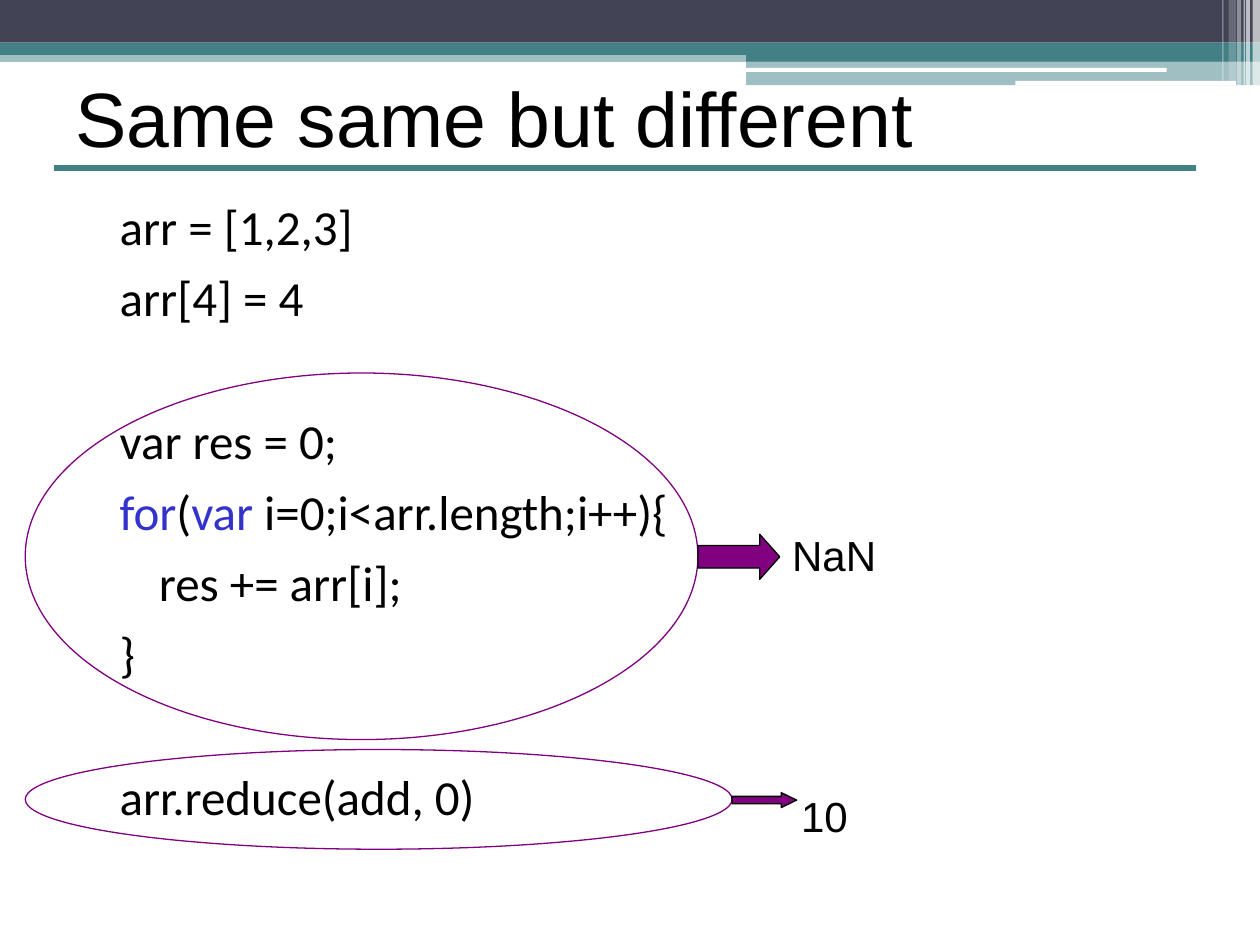
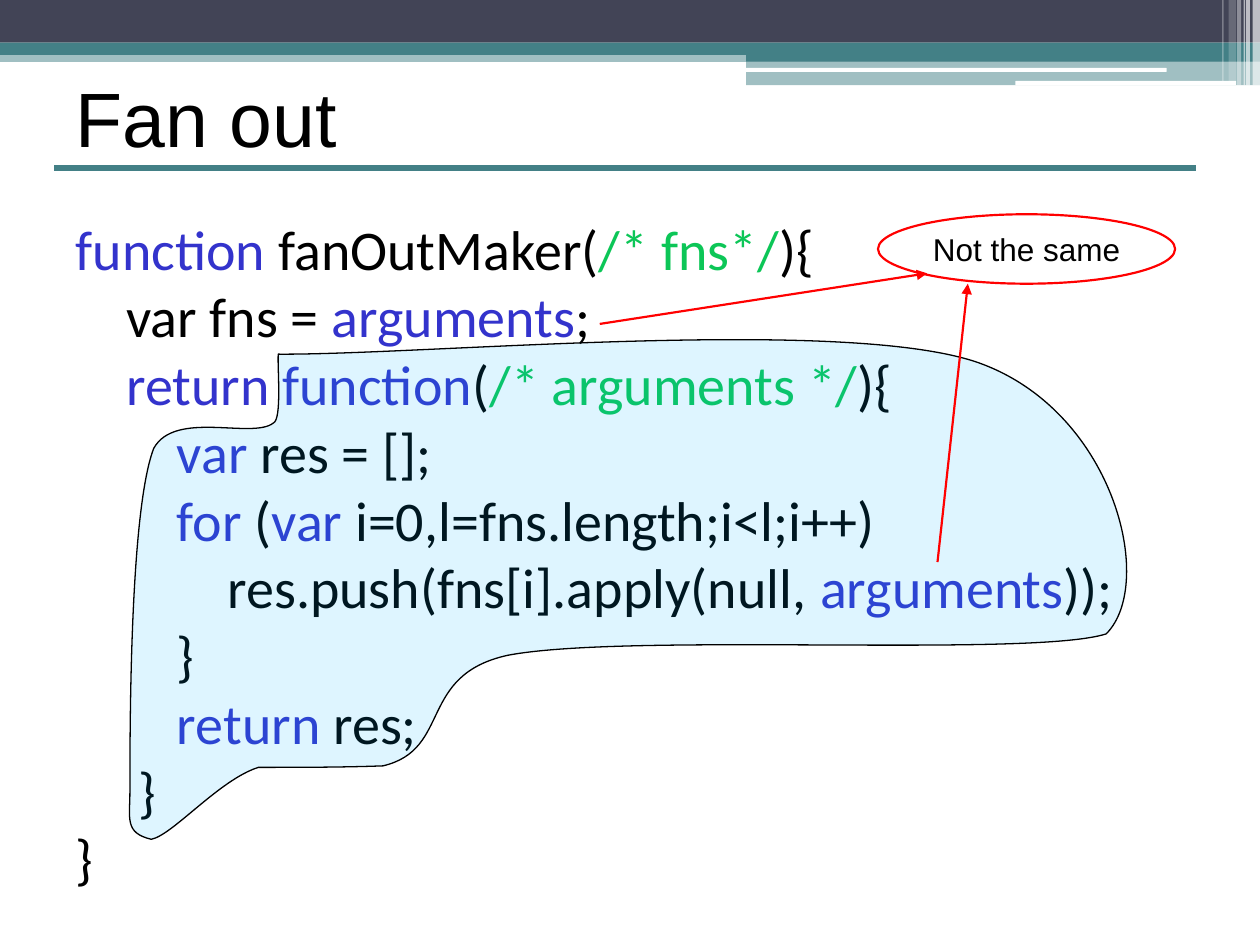
import dataclasses

import pptx
import pptx.dml.color
import pptx.enum.shapes
import pptx.enum.text
import pptx.oxml.ns
import pptx.oxml.xmlchemy
import pptx.util

Cm = pptx.util.Cm
Pt = pptx.util.Pt
qn = pptx.oxml.ns.qn
new_element = pptx.oxml.xmlchemy.OxmlElement
SHAPE = pptx.enum.shapes.MSO_SHAPE
ALIGN = pptx.enum.text.PP_ALIGN


@dataclasses.dataclass(frozen=True)
class Theme:
    dark: str = "424456"
    teal: str = "438086"
    white: str = "FFFFFF"
    black: str = "000000"
    keyword: str = "3333CC"
    comment: str = "0CC657"
    purple: str = "800080"
    red: str = "FF0000"
    sky: str = "00B8FF"
    heading_font: str = "Arial"
    code_font: str = "Calibri"
    title_size: int = 44
    sum_code_size: int = 28
    fan_out_size: int = 32
    result_size: int = 24
    note_size: int = 18
    thin: float = 0.75
    medium: float = 1.25
    thick: float = 3.5


THEME = Theme()

# Shared decoration: all lengths in centimetres
TITLE_BOX = (1.27, 0.76, 22.86, 3.18)
TITLE_RULE = ((1.09, 3.38), (24.1, 3.38))
# (box, colour, opacity in percent, preset)
BANDS = [
    ((0, 1.02, 25.4, 0.23), THEME.teal, 50, SHAPE.RECTANGLE),
    ((0, 0, 25.4, 0.86), THEME.dark, 100, SHAPE.RECTANGLE),
    ((0, 0.86, 25.4, 0.25), THEME.teal, 100, SHAPE.RECTANGLE),
    ((15.04, 0.99, 10.36, 0.25), THEME.teal, 100, SHAPE.RECTANGLE),
    ((15.04, 1.22, 10.36, 0.5), THEME.teal, 50, SHAPE.RECTANGLE),
    ((15.01, 1.37, 8.51, 0.08), THEME.white, 100, SHAPE.ROUNDED_RECTANGLE),
    ((20.47, 1.63, 4.45, 0.09), THEME.white, 100, SHAPE.ROUNDED_RECTANGLE),
]
# (left, width, height, opacity in percent)
STRIPES = [
    (25.25, 0.15, 1.73, 65), (25.12, 0.08, 1.73, 65), (25.07, 0.03, 1.73, 60),
    (24.94, 0.08, 1.73, 40), (24.77, 0.15, 1.63, 20), (24.64, 0.03, 1.63, 30),
]

# Code listings: a plain string is black, a pair is (text, colour)
SUM_CODE = {
    "title": "Same same but different",
    "box": (0.89, 3.84, 21.01, 13.69),
    "format": dict(size=THEME.sum_code_size, before=7, indent=1.27,
                   gaps={2: 48, 6: 48}, indents={4: 2.06}),
    "lines": [
        ["arr = [1,2,3]"],
        ["arr[4] = 4"],
        ["var res = 0;"],
        [("for", THEME.keyword), "(", ("var", THEME.keyword),
         " i=0;i<arr.length;i++){"],
        ["res += arr[i];"],
        ["}"],
        ["arr.reduce(add, 0)"],
    ],
}

FAN_OUT_CODE = {
    "title": "Fan out",
    "box": (1.27, 4.45, 22.83, 13.89),
    "format": dict(size=THEME.fan_out_size, before=8, spacing=0.8),
    "lines": [
        [("function", THEME.keyword), " fanOutMaker(",
         ("/* fns*/", THEME.comment), "){"],
        ["    var fns = ", ("arguments", THEME.keyword), ";"],
        ["    ", ("return function", THEME.keyword), "(",
         ("/* arguments */", THEME.comment), "){"],
        ["        ", ("var", THEME.keyword), " res = [];"],
        ["        ", ("for", THEME.keyword), " (", ("var", THEME.keyword),
         " i=0,l=fns.length;i<l;i++)"],
        ["            res.push(fns[i].apply(null, ",
         ("arguments", THEME.keyword), "));"],
        ["        }"],
        ["        ", ("return", THEME.keyword), " res;"],
        ["     }"],
        ["}"],
    ],
}

# Circled code with its result: ring, arrow, arrow head ratio, label
RESULTS = [
    ("NaN", (0.51, 7.52, 13.56, 7.39), (14.07, 10.77, 1.65, 0.91), 0.445,
     (15.72, 10.54, 2.39, 1.27)),
    ("10", (0.51, 15.11, 14.25, 2.01), (14.76, 15.98, 1.3, 0.3), 1.027,
     (15.9, 15.82, 1.63, 1.27)),
]

# Inner function outline: start, then (control, control, end) per curve
CLOSURE_START = (5.61, 7.14)
CLOSURE_CURVES = [
    ((5.59, 7.39), (5.69, 8.46), (5.51, 8.53)),
    ((5.08, 8.86), (3.53, 8.26), (3.1, 9.04)),
    ((2.62, 10.29), (2.62, 14.63), (2.62, 15.95)),
    ((2.62, 16.51), (2.51, 16.79), (3.05, 16.92)),
    ((3.48, 16.84), (4.42, 15.72), (5.21, 15.47)),
    ((6.05, 15.47), (6.88, 15.47), (7.72, 15.44)),
    ((9.12, 15.11), (8.41, 13.61), (10.24, 13.21)),
    ((12.67, 12.75), (20.78, 13.26), (22.3, 12.78)),
    ((23.32, 11.76), (22.45, 8.23), (19.66, 7.29)),
    ((16.87, 6.38), (8.53, 7.16), CLOSURE_START),
]
NOTE = ("Not the same", (17.7, 4.32, 5.99, 1.4))
NOTE_ARROWS = [((12.09, 6.53), (18.69, 5.51)), ((18.9, 11.33), (19.51, 5.72))]


def rgb(colour):
    return pptx.dml.color.RGBColor.from_string(colour)


def lengths(values):
    return [Cm(value) for value in values]


def write(frame, lines, size, font=THEME.heading_font, align=ALIGN.LEFT,
          before=0, spacing=None, indent=0, gaps=None, indents=None, wrap=True):
    """Fill a frame with lines of spans; gaps and indents override by line."""
    frame.word_wrap = wrap
    frame.auto_size = pptx.enum.text.MSO_AUTO_SIZE.NONE
    for number, spans in enumerate(lines):
        para = frame.add_paragraph() if number else frame.paragraphs[0]
        margin = (indents or {}).get(number, indent)
        properties = para._p.get_or_add_pPr()
        properties.set("marL", str(Cm(margin)))
        properties.set("indent", "0")
        properties.append(new_element("a:buNone"))
        para.alignment = align
        para.space_before = Pt((gaps or {}).get(number, before) if number else 0)
        if spacing:
            para.line_spacing = spacing
        for item in spans:
            text, colour = (item, THEME.black) if isinstance(item, str) else item
            span = para.add_run()
            span.text = text
            span.font.name = font
            span.font.size = Pt(size)
            span.font.color.rgb = rgb(colour)


def paint(shape, fill=None, opacity=100, line=None, width=THEME.thin):
    shape.shadow.inherit = False
    if fill:
        shape.fill.solid()
        shape.fill.fore_color.rgb = rgb(fill)
        if opacity < 100:
            alpha = new_element("a:alpha")
            alpha.set("val", str(opacity * 1000))
            next(shape._element.spPr.iter(qn("a:srgbClr"))).append(alpha)
    else:
        shape.fill.background()
    if line:
        shape.line.color.rgb = rgb(line)
        shape.line.width = Pt(width)
    else:
        shape.line.fill.background()
    return shape


def add_shape(page, preset, box, **look):
    return paint(page.shapes.add_shape(preset, *lengths(box)), **look)


def add_line(page, start, end, colour, width, arrow=False):
    line = page.shapes.add_connector(
        pptx.enum.shapes.MSO_CONNECTOR.STRAIGHT, *lengths(start + end))
    line.line.color.rgb = rgb(colour)
    line.line.width = Pt(width)
    if arrow:
        head = new_element("a:tailEnd")
        head.set("type", "triangle")
        line._element.spPr.find(qn("a:ln")).append(head)
    line._element.spPr.append(new_element("a:effectLst"))
    return line


def decorate_layout(page):
    """Draw the shared bands and move them behind the layout's placeholders."""
    parts = [add_line(page, *TITLE_RULE, THEME.teal, THEME.thick)]
    stripes = [((left, 0, width, height), THEME.white, opacity, SHAPE.RECTANGLE)
               for left, width, height, opacity in STRIPES]
    for box, colour, opacity, preset in BANDS + stripes:
        parts.append(add_shape(page, preset, box, fill=colour, opacity=opacity))
    tree = page.slide_layout.shapes._spTree
    for number, part in enumerate(parts):
        next(part._element.iter(qn("p:cNvPr"))).set("id", str(100 + number))
        tree.insert(2 + number, part._element)


def place(shape, box):
    shape.left, shape.top, shape.width, shape.height = lengths(box)


def add_code_page(deck, content):
    page = deck.slides.add_slide(deck.slide_layouts[1])
    title, body = page.shapes.title, page.placeholders[1]
    place(title, TITLE_BOX)
    title.text_frame.vertical_anchor = pptx.enum.text.MSO_ANCHOR.MIDDLE
    write(title.text_frame, [[content["title"]]], THEME.title_size)
    place(body, content["box"])
    write(body.text_frame, content["lines"], font=THEME.code_font,
          **content["format"])
    return page


def add_closure(page):
    """Outline through every control point, then turn each three into a curve."""
    points = [point for curve in CLOSURE_CURVES for point in curve]
    builder = page.shapes.build_freeform(*lengths(CLOSURE_START))
    builder.add_line_segments([lengths(point) for point in points], close=True)
    closure = builder.convert_to_shape()
    segments = list(closure._element.iter(qn("a:lnTo")))
    for first in range(0, len(points), 3):
        curve = new_element("a:cubicBezTo")
        segments[first].addprevious(curve)
        for segment in segments[first:first + 3]:
            curve.append(segment[0])
    for segment in segments:
        segment.getparent().remove(segment)
    paint(closure, fill=THEME.sky, opacity=13, line=THEME.black)


def main():
    deck = pptx.Presentation()
    deck.slide_width, deck.slide_height = Cm(25.4), Cm(19.05)

    # Loop against reduce, each with its result
    page = add_code_page(deck, SUM_CODE)
    decorate_layout(page)
    for result, ring, arrow, head, label in RESULTS:
        add_shape(page, SHAPE.OVAL, ring, line=THEME.purple)
        pointer = add_shape(page, SHAPE.RIGHT_ARROW, arrow,
                            fill=THEME.purple, line=THEME.black)
        pointer.adjustments[1] = head
        box = page.shapes.add_textbox(*lengths(label))
        write(box.text_frame, [[result]], THEME.result_size)

    # Fan out with the closure marked
    page = add_code_page(deck, FAN_OUT_CODE)
    add_closure(page)
    for start, end in NOTE_ARROWS:
        add_line(page, start, end, THEME.red, THEME.medium, arrow=True)
    text, box = NOTE
    note = add_shape(page, SHAPE.OVAL, box, line=THEME.red, width=THEME.medium)
    note.text_frame.vertical_anchor = pptx.enum.text.MSO_ANCHOR.MIDDLE
    write(note.text_frame, [[text]], THEME.note_size, align=ALIGN.CENTER, wrap=False)

    deck.save("out.pptx")


if __name__ == "__main__":
    main()
